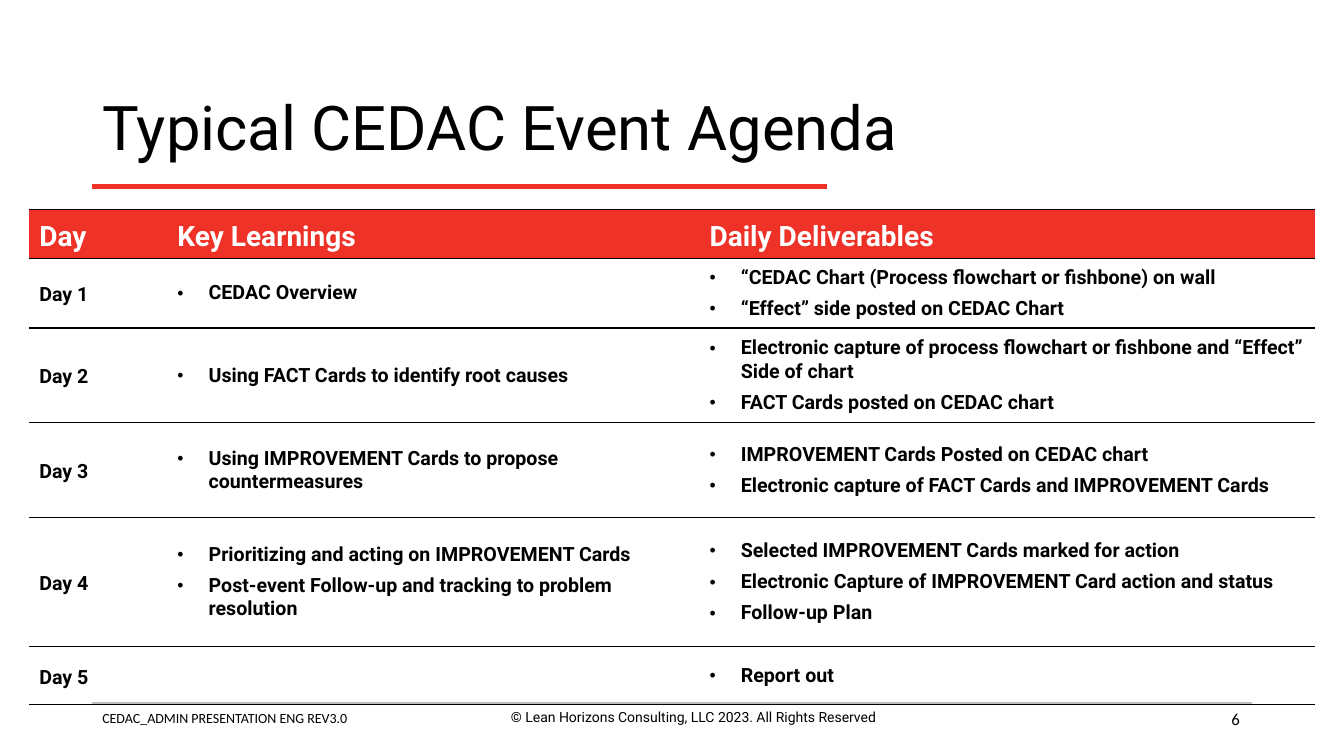
from lxml import etree
from pptx import Presentation
from pptx.dml.color import RGBColor
from pptx.enum.shapes import MSO_CONNECTOR
from pptx.enum.text import MSO_ANCHOR, PP_ALIGN
from pptx.oxml.ns import qn
from pptx.util import Inches, Pt

TOP, MIDDLE, BOTTOM = MSO_ANCHOR.TOP, MSO_ANCHOR.MIDDLE, MSO_ANCHOR.BOTTOM
LEFT, CENTER, RIGHT = PP_ALIGN.LEFT, PP_ALIGN.CENTER, PP_ALIGN.RIGHT
STRAIGHT = MSO_CONNECTOR.STRAIGHT

THEME = {
    "red": "EE3228", "black": "000000", "white": "FFFFFF", "grey": "BFBFBF",
    "main": "Roboto", "plain": "Calibri",
    "title": 44, "heading": 20, "body": 14, "number": 12, "footer": 10,
}

deck = Presentation()
deck.slide_width, deck.slide_height = Inches(13.333), Inches(7.5)
slide = deck.slides.add_slide(deck.slide_layouts[6])
unit = deck.slide_width / 160


def grid(*counts):
    return [round(count * unit) for count in counts]


def write(frame, lines, size="body", color="black", font="main", bold=False,
          align=LEFT, anchor=TOP, spacing=None, gap=0, bullet=False):
    frame.word_wrap = True
    frame.vertical_anchor = anchor
    for index, line in enumerate(lines):
        paragraph = frame.paragraphs[0] if index == 0 else frame.add_paragraph()
        if bullet:
            properties = paragraph._p.get_or_add_pPr()
            properties.set("marL", str(Inches(0.31)))
            properties.set("indent", str(-Inches(0.31)))
            tint = etree.SubElement(properties, qn("a:buClr"))
            etree.SubElement(tint, qn("a:srgbClr"), val=THEME[color])
            etree.SubElement(properties, qn("a:buSzPct"), val="90000")
            etree.SubElement(properties, qn("a:buFont"), typeface="Arial")
            etree.SubElement(properties, qn("a:buChar"), char="•")
        paragraph.alignment = align
        if spacing:
            paragraph.line_spacing = spacing
        if index:
            paragraph.space_before = Pt(gap)
        run = paragraph.add_run()
        run.text = line
        run.font.name = THEME[font]
        run.font.size = Pt(THEME[size])
        run.font.bold = bold
        run.font.color.rgb = RGBColor.from_string(THEME[color])


rules = [
    (11, 149, 83.76, "grey", 2),
    (11, 98.4, 22.2, "red", 3),
]
for start, end, height, color, weight in rules:
    rule = slide.shapes.add_connector(STRAIGHT, *grid(start, height, end, height))
    rule.line.color.rgb = RGBColor.from_string(THEME[color])
    rule.line.width = Pt(weight)
    etree.SubElement(rule._element.spPr, qn("a:effectLst"))

texts = [
    ((11, 8.9, 138, 13.2), "Typical CEDAC Event Agenda",
     {"size": "title", "anchor": MIDDLE, "spacing": 0.9}),
    ((11, 83.9, 54.7, 3.2), "CEDAC_ADMIN PRESENTATION ENG REV3.0",
     {"size": "footer", "font": "plain"}),
    ((55.2, 83.76, 54.7, 5.3), "© Lean Horizons Consulting, LLC 2023. All Rights Reserved",
     {"size": "footer", "align": CENTER}),
    ((112.8, 83.2, 36, 4.8), "6",
     {"size": "number", "font": "plain", "align": RIGHT, "anchor": MIDDLE}),
]
for place, words, style in texts:
    write(slide.shapes.add_textbox(*grid(*place)).text_frame, [words], **style)

agenda = [
    (["Day"], ["Key Learnings"], ["Daily Deliverables"]),
    (["Day 1"], ["CEDAC Overview"],
     ["“CEDAC Chart (Process flowchart or fishbone) on wall",
      "“Effect” side posted on CEDAC Chart"]),
    (["Day 2"], ["Using FACT Cards to identify root causes"],
     ["Electronic capture of process flowchart or fishbone and “Effect” Side of chart",
      "FACT Cards posted on CEDAC chart"]),
    (["Day 3"], ["Using IMPROVEMENT Cards to propose countermeasures"],
     ["IMPROVEMENT Cards Posted on CEDAC chart",
      "Electronic capture of FACT Cards and IMPROVEMENT Cards"]),
    (["Day 4"],
     ["Prioritizing and acting on IMPROVEMENT Cards",
      "Post-event Follow-up and tracking to problem resolution"],
     ["Selected IMPROVEMENT Cards marked for action",
      "Electronic Capture of IMPROVEMENT Card action and status",
      "Follow-up Plan"]),
    (["Day 5"], [], ["Report out"]),
]
column_widths = grid(16.44, 63.36, 73.32)
row_heights = grid(5.04, 8.28, 11.28, 11.28, 15.36, 6.96)
schedule = slide.shapes.add_table(
    len(agenda), len(column_widths), *grid(3.48, 24.96),
    sum(column_widths), sum(row_heights)).table
schedule.horz_banding = False
for column, width in zip(schedule.columns, column_widths):
    column.width = width
for row, height in zip(schedule.rows, row_heights):
    row.height = height

for row_index, entries in enumerate(agenda):
    for column_index, lines in enumerate(entries):
        cell = schedule.cell(row_index, column_index)
        heading = row_index == 0
        cell_properties = cell._tc.get_or_add_tcPr()
        for side in ("lnL", "lnR", "lnT", "lnB"):
            border = etree.SubElement(cell_properties, qn(f"a:{side}"), w=str(Pt(1)))
            if side in ("lnL", "lnR"):
                etree.SubElement(border, qn("a:noFill"))
            else:
                ink = etree.SubElement(border, qn("a:solidFill"))
                etree.SubElement(ink, qn("a:srgbClr"), val=THEME["black"])
        if heading:
            cell.fill.solid()
            cell.fill.fore_color.rgb = RGBColor.from_string(THEME["red"])
        else:
            cell.fill.background()
        bullet = not heading and column_index > 0
        write(cell.text_frame, lines, bold=True, bullet=bullet, gap=5.6,
              size="heading" if heading else "body",
              color="white" if heading else "black",
              spacing=None if bullet else 1.15)
        cell.vertical_anchor = BOTTOM if heading else MIDDLE

deck.save("out.pptx")
